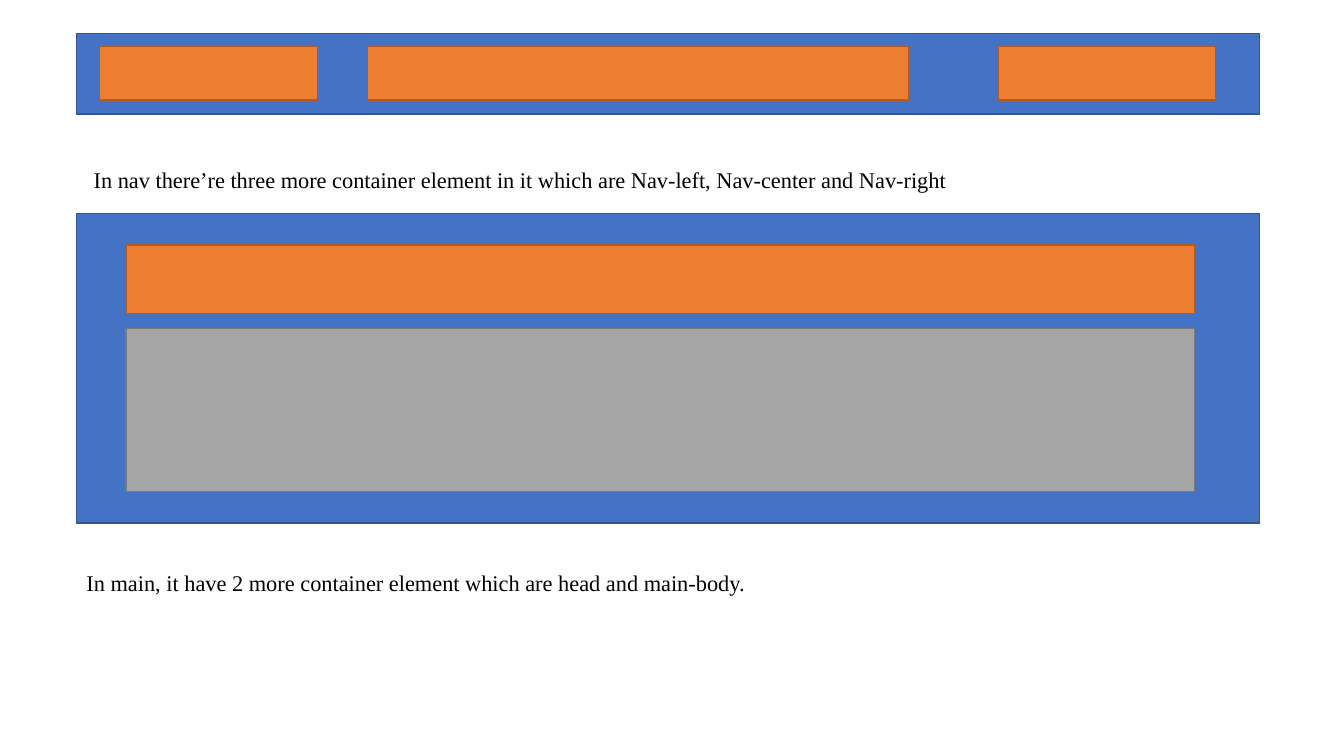
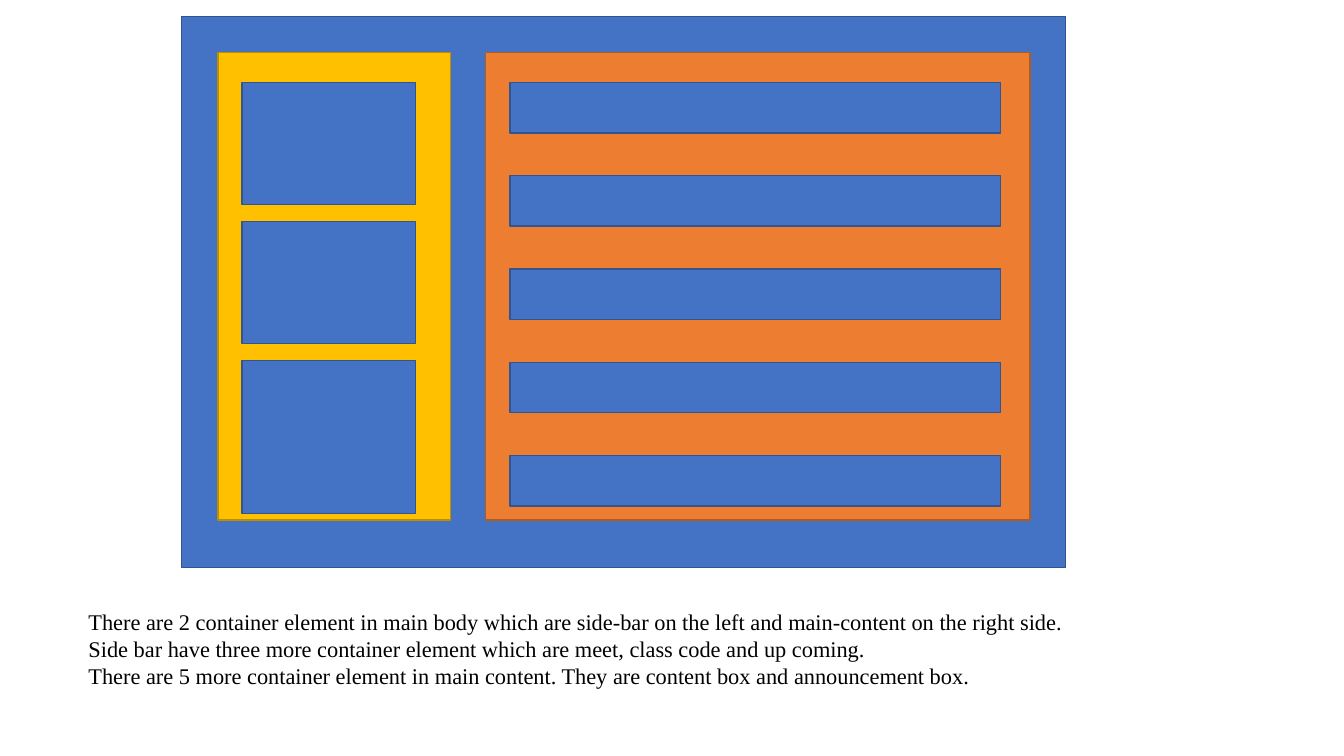
"""Build two slides that explain the container layout of a web page."""
from dataclasses import dataclass

from pptx import Presentation
from pptx.dml.color import RGBColor
from pptx.enum.shapes import MSO_SHAPE
from pptx.enum.text import MSO_AUTO_SIZE
from pptx.slide import Slide
from pptx.util import Cm, Pt

FONT_NAME = "Times New Roman"
FONT_SIZE = 16
TEXT_COLOR = "000000"


@dataclass(frozen=True)
class Style:
    fill: str
    line: str


@dataclass(frozen=True)
class Box:
    left: float
    top: float
    width: float
    height: float
    style: Style


@dataclass(frozen=True)
class Caption:
    left: float
    top: float
    width: float
    height: float
    lines: tuple[str, ...]


BLUE = Style("4472C4", "325491")
ORANGE = Style("ED7D31", "AF5C24")
GRAY = Style("A5A5A5", "7A7A7A")
YELLOW = Style("FFC000", "BD8E00")

OUTER_LEFT, OUTER_WIDTH = 1.93, 29.82
NAV_TOP, NAV_HEIGHT = 1.17, 1.35
MAIN_LEFT, MAIN_WIDTH = 3.18, 26.92
PANEL_TOP, PANEL_HEIGHT = 1.32, 11.79
ITEM_TOP, CARD_PITCH, ROW_PITCH = 2.08, 3.5, 2.35

NAV_AND_MAIN = [
    Box(OUTER_LEFT, 0.84, OUTER_WIDTH, 2.03, BLUE),
    *(Box(left, NAV_TOP, width, NAV_HEIGHT, ORANGE)
      for left, width in ((2.51, 5.49), (9.27, 13.64), (25.15, 5.49))),
    Box(OUTER_LEFT, 5.38, OUTER_WIDTH, 7.8, BLUE),
    Box(MAIN_LEFT, 6.17, MAIN_WIDTH, 1.73, ORANGE),
    Box(MAIN_LEFT, 8.28, MAIN_WIDTH, 4.11, GRAY),
]
NAV_AND_MAIN_CAPTIONS = [
    Caption(2.11, 4.06, 28.35, 0.94, (
        "In nav there’re three more container element in it which are "
        "Nav-left, Nav-center and Nav-right",
    )),
    Caption(1.93, 14.22, 30.2, 0.94, (
        "In main, it have 2 more container element which are head and main-body.",
    )),
]

MAIN_BODY = [
    Box(4.57, 0.41, 22.28, 13.89, BLUE),
    Box(5.49, PANEL_TOP, 5.87, PANEL_HEIGHT, YELLOW),
    Box(12.24, PANEL_TOP, 13.72, PANEL_HEIGHT, ORANGE),
    *(Box(6.1, ITEM_TOP + index * CARD_PITCH, 4.37, height, BLUE)
      for index, height in enumerate((3.07, 3.07, 3.86))),
    *(Box(12.85, ITEM_TOP + index * ROW_PITCH, 12.37, 1.27, BLUE)
      for index in range(5)),
]
MAIN_BODY_CAPTIONS = [
    Caption(1.98, 15.21, 29.11, 2.31, (
        "There are 2 container element in main body which are side-bar on the left "
        "and main-content on the right side.",
        "Side bar have three more container element which are meet, class code and up coming.",
        "There are 5 more container element in main content. "
        "They are content box and announcement box.",
    )),
]


def color(value: str) -> RGBColor:
    return RGBColor.from_string(value)


def add_box(slide: Slide, box: Box) -> None:
    shape = slide.shapes.add_shape(
        MSO_SHAPE.RECTANGLE, Cm(box.left), Cm(box.top), Cm(box.width), Cm(box.height))
    shape.shadow.inherit = False
    shape.fill.solid()
    shape.fill.fore_color.rgb = color(box.style.fill)
    shape.line.color.rgb = color(box.style.line)
    shape.line.width = Pt(1)


def add_caption(slide: Slide, caption: Caption) -> None:
    shape = slide.shapes.add_textbox(
        Cm(caption.left), Cm(caption.top), Cm(caption.width), Cm(caption.height))
    text_frame = shape.text_frame
    text_frame.word_wrap = True
    text_frame.auto_size = MSO_AUTO_SIZE.SHAPE_TO_FIT_TEXT
    for index, line in enumerate(caption.lines):
        paragraph = text_frame.add_paragraph() if index else text_frame.paragraphs[0]
        run = paragraph.add_run()
        run.text = line
        run.font.name = FONT_NAME
        run.font.size = Pt(FONT_SIZE)
        run.font.color.rgb = color(TEXT_COLOR)


def main() -> None:
    presentation = Presentation()
    presentation.slide_width = Cm(33.87)
    presentation.slide_height = Cm(19.05)
    blank_layout = presentation.slide_layouts[6]
    for boxes, captions in (
        (NAV_AND_MAIN, NAV_AND_MAIN_CAPTIONS),
        (MAIN_BODY, MAIN_BODY_CAPTIONS),
    ):
        slide = presentation.slides.add_slide(blank_layout)
        for box in boxes:
            add_box(slide, box)
        for caption in captions:
            add_caption(slide, caption)
    presentation.save("out.pptx")


if __name__ == "__main__":
    main()
